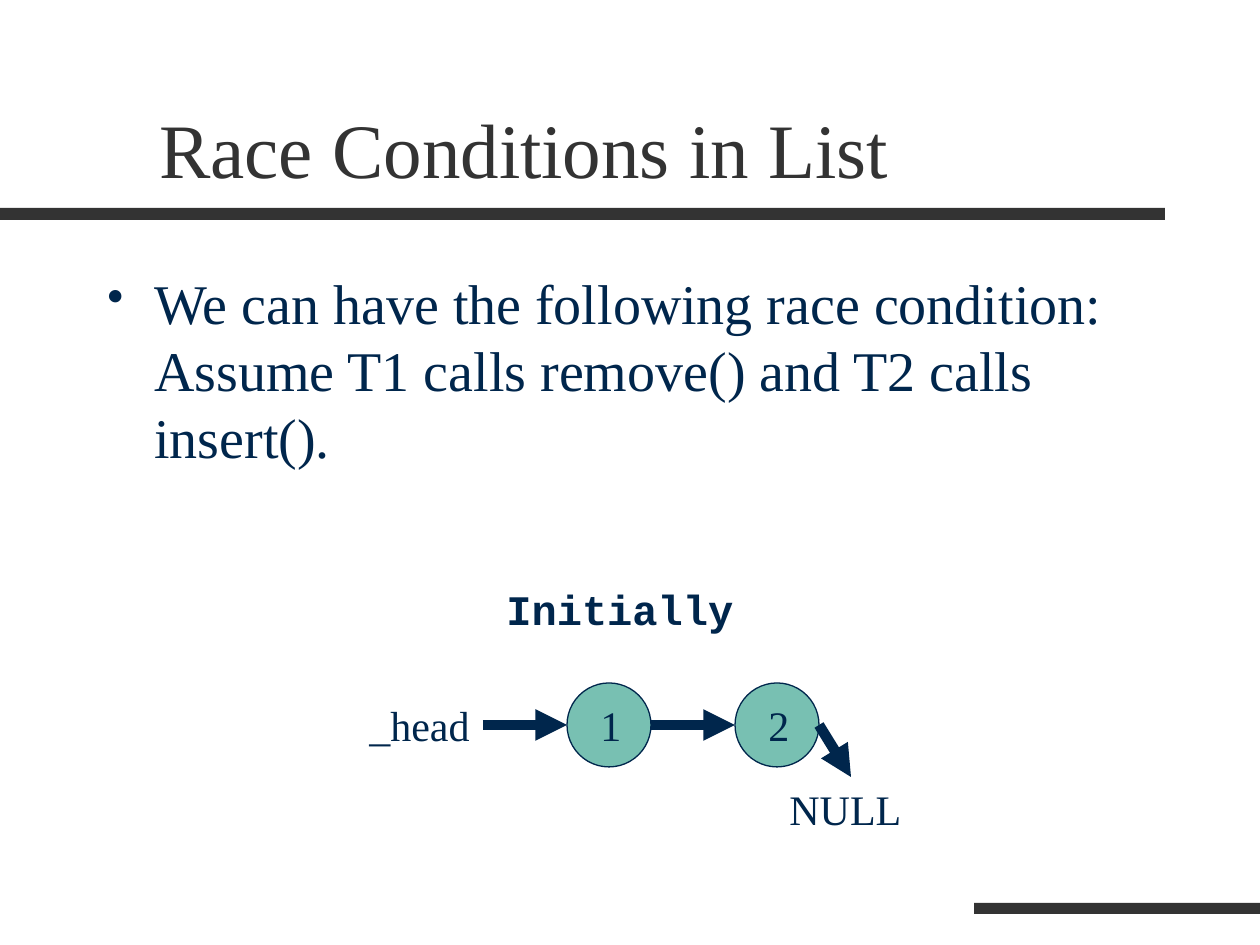
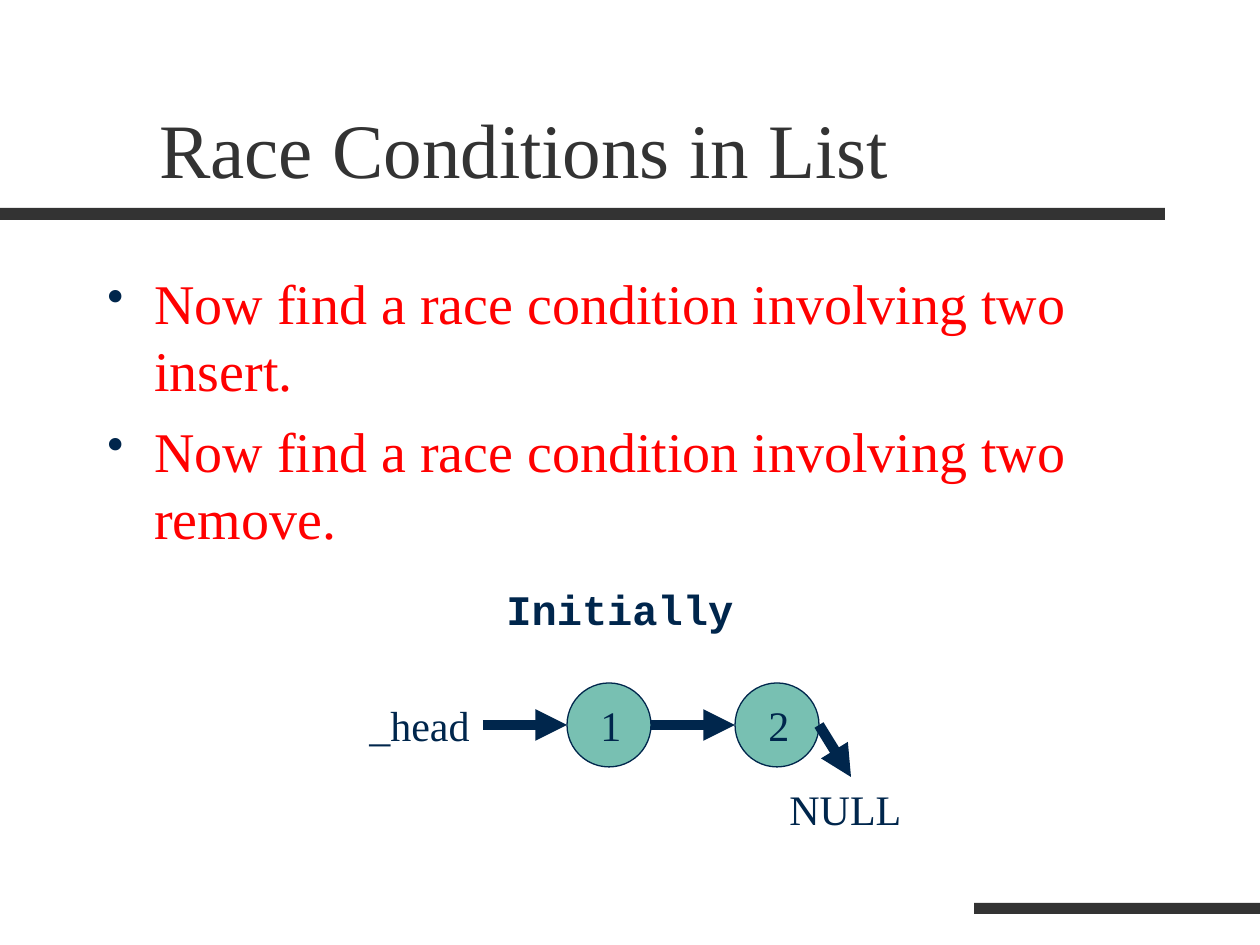
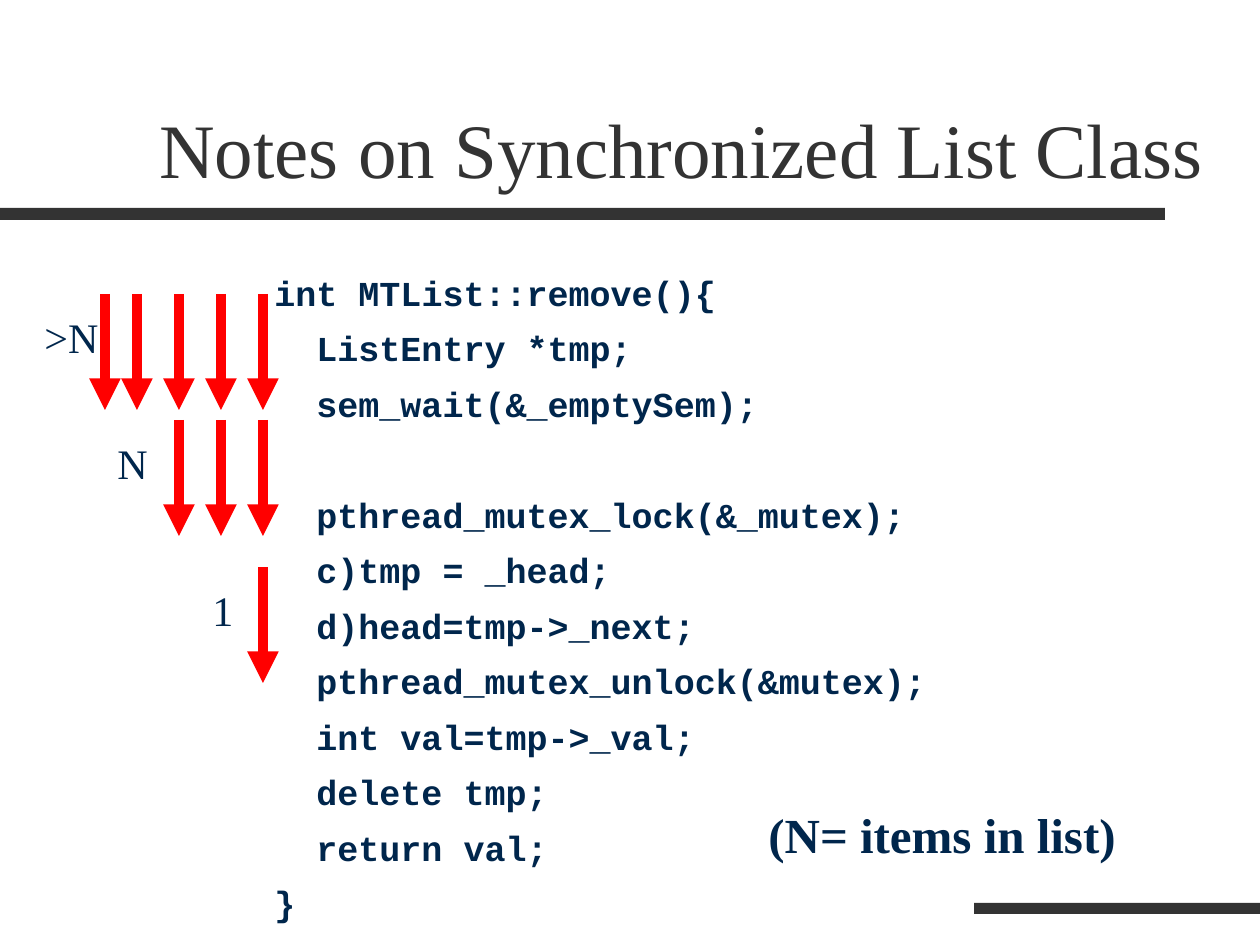
from lxml.etree import SubElement
from pptx import Presentation
from pptx.dml.color import RGBColor
from pptx.enum.shapes import MSO_CONNECTOR, MSO_SHAPE
from pptx.enum.text import MSO_ANCHOR, MSO_AUTO_SIZE
from pptx.oxml.ns import qn
from pptx.util import Pt

PX = 9144000 / 1260
COLORS = {"bar": "333333", "ink": "00264C", "node": "78C0B2", "alert": "FF0000"}
SERIF = "Times New Roman"
MONO = "Courier New"
CODE_INDENT = 42
CODE_GAP = 12.5
SKIPPED_LINE_GAP = 44.2

CODE = [
    ("int MTList::remove(){", 0, CODE_GAP),
    ("ListEntry *tmp;", 1, CODE_GAP),
    ("sem_wait(&_emptySem);", 1, CODE_GAP),
    ("pthread_mutex_lock(&_mutex);", 1, SKIPPED_LINE_GAP),
    ("c)tmp = _head;", 1, CODE_GAP),
    ("d)head=tmp->_next;", 1, CODE_GAP),
    ("pthread_mutex_unlock(&mutex);", 1, CODE_GAP),
    ("int val=tmp->_val;", 1, CODE_GAP),
    ("delete tmp;", 1, CODE_GAP),
    ("return val;", 1, CODE_GAP),
    ("}", 0, CODE_GAP),
]

THREAD_COLUMNS = [263, 221, 179, 137, 105]
THREAD_GROUPS = [
    (294, 5, ">N", 32, 84),
    (420, 3, "N", 105, 74),
    (567, 1, "1", 200, 74),
]


def px(*lengths):
    return [round(length * PX) for length in lengths]


def color(name):
    return RGBColor.from_string(COLORS[name])


def write(paragraph, text, size=24, font=SERIF, ink="ink", bold=False,
          before=0, spacing=None, indent=0, hanging=0):
    run = paragraph.add_run()
    run.text = text
    run.font.size = Pt(size)
    run.font.name = font
    run.font.bold = bold
    run.font.color.rgb = color(ink)
    paragraph.space_before = Pt(before)
    if spacing:
        paragraph.line_spacing = spacing
    if indent:
        properties = paragraph._p.get_or_add_pPr()
        left, first = px(indent, -hanging)
        properties.set("marL", str(left))
        properties.set("indent", str(first))


def add_bullet(paragraph):
    properties = paragraph._p.get_or_add_pPr()
    bullet_color = SubElement(properties, qn("a:buClr"))
    SubElement(bullet_color, qn("a:srgbClr"), val=COLORS["ink"])
    SubElement(properties, qn("a:buSzPct"), val="85000")
    SubElement(properties, qn("a:buChar"), char="•")


def add_frame(slide, left, top, width, height, anchor=MSO_ANCHOR.TOP, grow=False):
    frame = slide.shapes.add_textbox(*px(left, top, width, height)).text_frame
    frame.word_wrap = True
    frame.vertical_anchor = anchor
    frame.auto_size = MSO_AUTO_SIZE.SHAPE_TO_FIT_TEXT if grow else MSO_AUTO_SIZE.NONE
    return frame


def add_paragraphs(frame, count):
    return [frame.paragraphs[0]] + [frame.add_paragraph() for _ in range(count - 1)]


def add_label(slide, text, left, top, width, height=63, **style):
    frame = add_frame(slide, left, top, width, height, grow=True)
    write(frame.paragraphs[0], text, **style)


def add_filled_shape(slide, preset, left, top, width, height, fill, outline=None):
    shape = slide.shapes.add_shape(preset, *px(left, top, width, height))
    shape.shadow.inherit = False
    shape.fill.solid()
    shape.fill.fore_color.rgb = color(fill)
    if outline:
        shape.line.color.rgb = color(outline)
        shape.line.width = Pt(0.75)
    else:
        shape.line.fill.background()


def add_arrow(slide, start_x, start_y, end_x, end_y, ink="ink"):
    arrow = slide.shapes.add_connector(
        MSO_CONNECTOR.STRAIGHT, *px(start_x, start_y, end_x, end_y))
    arrow.line.color.rgb = color(ink)
    arrow.line.width = Pt(6)
    SubElement(arrow.line._get_or_add_ln(), qn("a:tailEnd"), type="triangle")
    SubElement(arrow._element.spPr, qn("a:effectLst"))


def add_titled_slide(presentation, title, title_top=42):
    slide = presentation.slides.add_slide(presentation.slide_layouts[6])
    add_filled_shape(slide, MSO_SHAPE.RECTANGLE, 0, 208, 1165, 12, "bar")
    add_filled_shape(slide, MSO_SHAPE.RECTANGLE, 974, 903, 286, 11, "bar")
    frame = add_frame(slide, 147, title_top, 1071, 200 - title_top, MSO_ANCHOR.BOTTOM)
    write(frame.paragraphs[0], title, size=44, ink="bar")
    return slide


def add_bullets(slide, texts, ink):
    frame = add_frame(slide, 95, 262, 1071, 577)
    for paragraph, text in zip(add_paragraphs(frame, len(texts)), texts):
        write(paragraph, text, size=32, ink=ink, before=8, indent=47, hanging=47)
        add_bullet(paragraph)


def add_linked_list(slide):
    diameter, pitch, first_left, middle = 84, 168, 567, 725
    add_label(slide, "Initially", 494, 577, 357, font=MONO, bold=True, before=15)
    add_label(slide, "_head", 357, 693, 136, before=15)
    for index, value in enumerate(["1", "2"]):
        left = first_left + index * pitch
        add_filled_shape(slide, MSO_SHAPE.OVAL, left, middle - diameter // 2,
                         diameter, diameter, "node", "ink")
        add_label(slide, value, left + 21, 693, diameter, before=15)
        add_arrow(slide, left - diameter, middle, left, middle)
    end = first_left + pitch + diameter
    add_arrow(slide, end, middle, end + 32, middle + 52)
    add_label(slide, "NULL", 777, 777, 158, before=15)


def add_code(slide):
    frame = add_frame(slide, 262, 273, 819, 675, grow=True)
    for paragraph, (text, level, gap) in zip(add_paragraphs(frame, len(CODE)), CODE):
        write(paragraph, text, size=20, font=MONO, bold=True, before=gap,
              spacing=0.8, indent=level * CODE_INDENT)


def add_threads(slide):
    for top, count, label, left, width in THREAD_GROUPS:
        for column in THREAD_COLUMNS[:count]:
            add_arrow(slide, column, top, column, top + 116, "alert")
        add_label(slide, label, left, top + 11, width)


def main():
    presentation = Presentation()
    presentation.slide_width, presentation.slide_height = px(1260, 945)

    race_slides = [
        (["We can have the following race condition: Assume T1 calls remove() "
          "and T2 calls insert()."], "ink"),
        (["Now find a race condition involving two insert.",
          "Now find a race condition involving two remove."], "alert"),
    ]
    for texts, ink in race_slides:
        slide = add_titled_slide(presentation, "Race Conditions in List")
        add_bullets(slide, texts, ink)
        add_linked_list(slide)

    slide = add_titled_slide(presentation, "Notes on Synchronized List Class", title_top=2)
    add_code(slide)
    add_threads(slide)
    add_label(slide, "(N= items in list)", 756, 798, 420, 72, size=28, bold=True)

    presentation.save("out.pptx")


if __name__ == "__main__":
    main()
